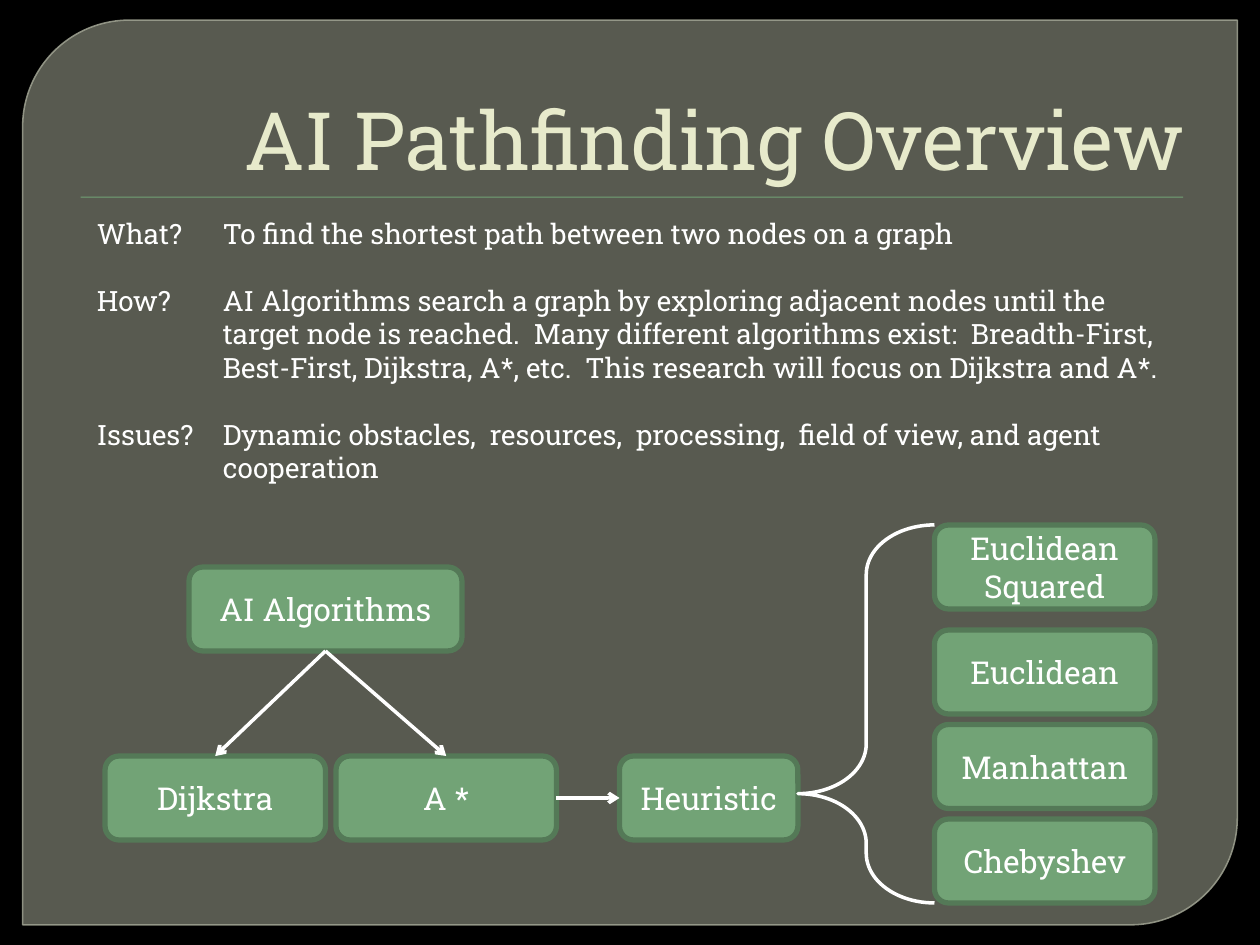
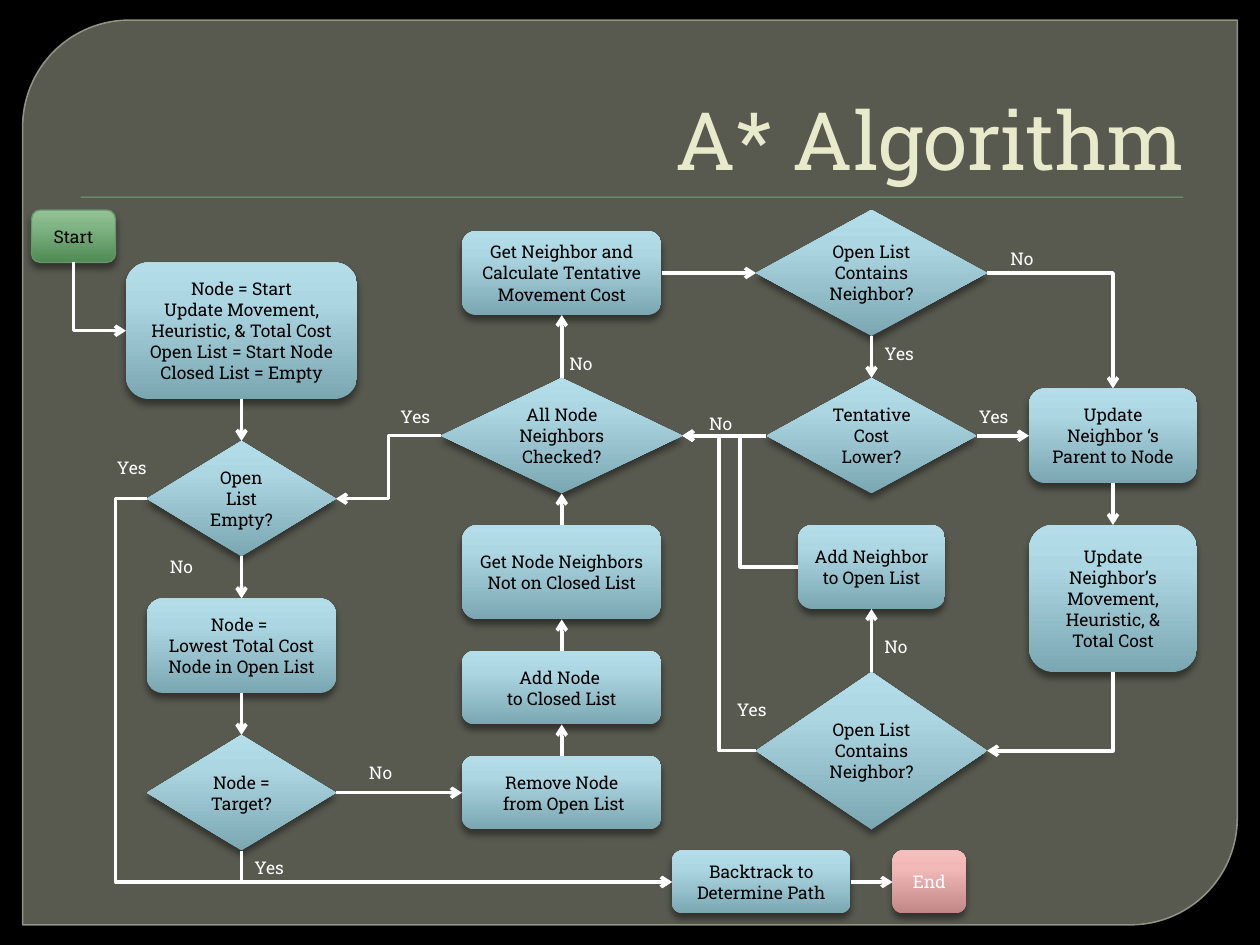
"""Build two slides on AI pathfinding: an overview and the A* flowchart."""
import copy

import lxml.etree
import pptx
import pptx.dml.color
import pptx.enum.shapes
import pptx.enum.text
import pptx.oxml
import pptx.oxml.ns
import pptx.util

Inches = pptx.util.Inches
Pt = pptx.util.Pt
qn = pptx.oxml.ns.qn
color = pptx.dml.color.RGBColor.from_string
SHAPE = pptx.enum.shapes.MSO_SHAPE
CONNECTOR = pptx.enum.shapes.MSO_CONNECTOR
ALIGN = pptx.enum.text.PP_ALIGN
ANCHOR = pptx.enum.text.MSO_ANCHOR

FONT = "Roboto Slab"
WHITE, BLACK, CREAM = "FFFFFF", "000000", "E7EACB"
GREEN, DARK_GREEN = "72A376", "547957"
BLUES = ("7BA7B3", "ACD7E2", "B4DDE9")
GREENS = ("508A55", "83B687", "94C298")
PINKS = ("C18787", "F2B8B8", "F7BEBE")
GRID = 12
TOP, LEFT, BOTTOM, RIGHT = range(4)
SHADOW = (
    '<a:outerShdw xmlns:a="http://schemas.openxmlformats.org/drawingml/2006/main" '
    'blurRad="{}" dist="{}" dir="5400000" rotWithShape="0">'
    '<a:srgbClr val="000000"><a:alpha val="{}"/></a:srgbClr></a:outerShdw>'
)


def write(shape, text, size=10, ink=WHITE, align=ALIGN.CENTER, anchor=ANCHOR.MIDDLE,
          wrap=True, hanging=0, gap=0):
    frame = shape.text_frame
    frame.word_wrap = wrap
    frame.vertical_anchor = anchor
    frame.text = text
    for paragraph in frame.paragraphs:
        paragraph.alignment = align
        paragraph.space_after = Pt(gap)
        if hanging:
            properties = paragraph._p.get_or_add_pPr()
            properties.set("marL", str(Inches(hanging)))
            properties.set("indent", str(-Inches(hanging)))
        paragraph.font.size = Pt(size)
        for run in paragraph.runs:
            run.font.name = FONT
            run.font.size = Pt(size)
            run.font.color.rgb = color(ink)


def link(slide, start, start_side, end, end_side, turn=None, bend=0.5):
    kind = CONNECTOR.ELBOW if turn else CONNECTOR.STRAIGHT
    arrow = slide.shapes.add_connector(kind, 0, 0, 0, 0)
    arrow.begin_connect(start, start_side)
    arrow.end_connect(end, end_side)
    arrow.line.color.rgb = color(WHITE)
    arrow.line.width = Pt(2)
    properties = arrow._element.spPr
    lxml.etree.SubElement(arrow.line._get_or_add_ln(), qn("a:tailEnd"), type="arrow")
    lxml.etree.SubElement(properties, qn("a:effectLst"))
    geometry = properties.find(qn("a:prstGeom"))
    if turn == "middle":
        guides = geometry.get_or_add_avLst()
        lxml.etree.SubElement(guides, qn("a:gd"), name="adj1", fmla=f"val {round(bend * 100000)}")
    elif turn:
        geometry.set("prst", "bentConnector2")
    if turn == "down first":
        to_right = arrow.end_x > arrow.begin_x
        middle_x = arrow.left + arrow.width // 2
        middle_y = arrow.top + arrow.height // 2
        arrow.width, arrow.height = arrow.height, arrow.width
        arrow.left = middle_x - arrow.width // 2
        arrow.top = middle_y - arrow.height // 2
        frame = properties.find(qn("a:xfrm"))
        frame.set("rot", str((270 if to_right else 90) * 60000))
        frame.set("flipH", "1" if to_right else "0")


deck = pptx.Presentation()
deck.slide_width, deck.slide_height = Inches(10), Inches(7.5)

slides = []
for heading in ("AI Pathfinding Overview", "A* Algorithm"):
    slide = deck.slides.add_slide(deck.slide_layouts[6])
    slide.background.fill.solid()
    slide.background.fill.fore_color.rgb = color(BLACK)

    panel = slide.shapes.add_shape(SHAPE.ROUND_2_DIAG_RECTANGLE, Inches(0.18), Inches(0.16),
                                   Inches(9.64), Inches(7.18))
    panel.adjustments[0], panel.adjustments[1] = 0.118, 0
    panel.shadow.inherit = False
    panel.line.width = Pt(0.87)
    for paint, tone, opacity in ((panel.fill, "888B7B", 65), (panel.line.fill, "9DA090", 88)):
        paint.solid()
        paint.fore_color.rgb = color(tone)
        tint = paint._xPr.find(qn("a:solidFill"))[0]
        lxml.etree.SubElement(tint, qn("a:alpha"), val=str(opacity * 1000))

    rule = slide.shapes.add_shape(SHAPE.RECTANGLE, Inches(0.64), Inches(1.56),
                                  Inches(8.75), Inches(0.01))
    rule.fill.solid()
    rule.fill.fore_color.rgb = color(GREEN)
    rule.line.fill.background()
    rule.shadow.inherit = False
    rule._element.spPr.find(qn("a:effectLst")).append(
        pptx.oxml.parse_xml(SHADOW.format(Pt(1), Pt(1), 75000)))

    title = slide.shapes.add_textbox(Inches(0.5), Inches(0.28), Inches(9), Inches(1.25))
    write(title, heading, size=46, ink=CREAM, align=ALIGN.RIGHT, anchor=ANCHOR.BOTTOM)
    slides.append(slide)

overview, flowchart = slides

questions = overview.shapes.add_textbox(Inches(0.67), Inches(1.67), Inches(8.75), Inches(2.56))
write(
    questions,
    "What?\tTo find the shortest path between two nodes on a graph\n"
    "How?\tAI Algorithms search a graph by exploring adjacent nodes until the target node is "
    "reached.  Many different algorithms exist:  Breadth-First, Best-First, Dijkstra, A*, etc.  "
    "This research will focus on Dijkstra and A*.\n"
    "Issues?\tDynamic obstacles,  resources,  processing,  field of view, and agent cooperation",
    size=16, align=ALIGN.LEFT, anchor=ANCHOR.TOP, hanging=1, gap=19,
)

topics = {}
for text, left, top, width in (
    ("AI Algorithms", 18, 54, 26),
    ("A *", 32, 72, 21),
    ("Dijkstra", 10, 72, 21),
    ("Heuristic", 59, 72, 17),
    ("Euclidean\nSquared", 89, 50, 21),
    ("Euclidean", 89, 60, 21),
    ("Manhattan", 89, 69, 21),
    ("Chebyshev", 89, 78, 21),
):
    topic = overview.shapes.add_shape(
        SHAPE.ROUNDED_RECTANGLE, *(Inches(n / GRID) for n in (left, top, width, 8)))
    topic.fill.solid()
    topic.fill.fore_color.rgb = color(GREEN)
    topic.line.color.rgb = color(DARK_GREEN)
    topic.line.width = Pt(3)
    topic.shadow.inherit = False
    write(topic, text, size=18)
    topics[text] = topic

heuristic_choices = overview.shapes.add_shape(
    SHAPE.LEFT_BRACE, *(Inches(n / GRID) for n in (76, 50, 13, 36)))
heuristic_choices.adjustments[0], heuristic_choices.adjustments[1] = 0.364, 0.711
heuristic_choices.fill.background()
heuristic_choices.line.color.rgb = color(WHITE)
heuristic_choices.line.width = Pt(2)
heuristic_choices.shadow.inherit = False

link(overview, topics["AI Algorithms"], BOTTOM, topics["A *"], TOP)
link(overview, topics["AI Algorithms"], BOTTOM, topics["Dijkstra"], TOP)
link(overview, topics["A *"], RIGHT, topics["Heuristic"], LEFT)

STEP, TEST = SHAPE.ROUNDED_RECTANGLE, SHAPE.FLOWCHART_DECISION
steps = {}
for key, kind, box, text in (
    ("start", STEP, (3, 20, 8, 5), "Start"),
    ("setup", STEP, (12, 25, 22, 13),
     "Node = Start\nUpdate Movement, Heuristic, & Total Cost\n"
     "Open List = Start Node Closed List = Empty"),
    ("open empty", TEST, (14, 42, 18, 11), "Open List Empty?"),
    ("lowest", STEP, (14, 57, 18, 9), "Node = \nLowest Total Cost Node in Open List"),
    ("target", TEST, (14, 70, 18, 11), "Node = Target?"),
    ("remove", STEP, (44, 72, 19, 7), "Remove Node\n from Open List"),
    ("close", STEP, (44, 62, 19, 7), "Add Node \nto Closed List"),
    ("neighbors", STEP, (44, 50, 19, 9), "Get Node Neighbors\nNot on Closed List"),
    ("all checked", TEST, (42, 36, 23, 11), "All Node Neighbors Checked?"),
    ("tentative", STEP, (44, 22, 19, 8), "Get Neighbor and Calculate Tentative Movement Cost"),
    ("contains", TEST, (72, 20, 22, 12), "Open List\nContains\nNeighbor?"),
    ("lower", TEST, (73, 36, 20, 11), "Tentative Cost Lower?"),
    ("parent", STEP, (98, 37, 16, 9), "Update Neighbor ‘s Parent to Node"),
    ("costs", STEP, (98, 50, 16, 14), "Update Neighbor’s Movement, Heuristic, & Total Cost"),
    ("still contains", TEST, (72, 64, 22, 15), "Open List\nContains\nNeighbor?"),
    ("add open", STEP, (76, 50, 14, 8), "Add Neighbor \nto Open List"),
    ("backtrack", STEP, (64, 81, 17, 6), "Backtrack to Determine Path"),
    ("end", STEP, (85, 81, 7, 6), "End"),
):
    step = flowchart.shapes.add_shape(kind, *(Inches(n / GRID) for n in box))
    step.fill.gradient()
    step.fill.gradient_angle = 90
    stop_list = step._element.spPr.find(qn("a:gradFill")).find(qn("a:gsLst"))
    stop_list.append(copy.deepcopy(stop_list[-1]))
    tones = {"start": GREENS, "end": PINKS}.get(key, BLUES)
    for stop, position, tone in zip(step.fill.gradient_stops, (0, 0.72, 1), tones):
        stop.position = position
        stop.color.rgb = color(tone)
    step.line.fill.background()
    step.shadow.inherit = False
    step._element.spPr.find(qn("a:effectLst")).append(
        pptx.oxml.parse_xml(SHADOW.format(Pt(4), Pt(3), 43000)))
    write(step, text, ink=WHITE if key == "end" else BLACK)
    steps[key] = step

steps["start"].line.color.rgb = color("67946B")
steps["start"].line.width = Pt(0.75)

for start, start_side, end, end_side, *route in (
    ("start", BOTTOM, "setup", LEFT, "down first"),
    ("setup", BOTTOM, "open empty", TOP),
    ("open empty", BOTTOM, "lowest", TOP),
    ("open empty", LEFT, "backtrack", LEFT, "middle", -0.06),
    ("lowest", BOTTOM, "target", TOP),
    ("target", BOTTOM, "backtrack", LEFT, "down first"),
    ("target", RIGHT, "remove", LEFT),
    ("remove", TOP, "close", BOTTOM),
    ("close", TOP, "neighbors", BOTTOM),
    ("neighbors", TOP, "all checked", BOTTOM),
    ("all checked", TOP, "tentative", BOTTOM),
    ("all checked", LEFT, "open empty", RIGHT, "middle"),
    ("tentative", RIGHT, "contains", LEFT),
    ("contains", RIGHT, "parent", TOP, "across first"),
    ("contains", BOTTOM, "lower", TOP),
    ("lower", RIGHT, "parent", LEFT),
    ("lower", LEFT, "all checked", RIGHT),
    ("parent", BOTTOM, "costs", TOP),
    ("costs", BOTTOM, "still contains", RIGHT, "down first"),
    ("still contains", LEFT, "all checked", RIGHT, "middle"),
    ("still contains", TOP, "add open", BOTTOM),
    ("add open", LEFT, "all checked", RIGHT, "middle"),
    ("backtrack", RIGHT, "end", LEFT),
):
    link(flowchart, steps[start], start_side, steps[end], end_side, *route)

for answer, width, places in (
    ("Yes", 0.44, ((0.83, 3.58), (1.92, 6.75), (5.75, 5.5), (7.67, 3.17), (6.92, 2.67),
                   (3.08, 3.17))),
    ("No", 0.38, ((1.25, 4.36), (2.83, 6), (7.92, 1.92), (6.92, 5), (4.42, 2.75),
                  (5.53, 3.23))),
):
    for left, top in places:
        label = flowchart.shapes.add_textbox(Inches(left), Inches(top), Inches(width), Inches(0.27))
        write(label, answer, align=ALIGN.LEFT, anchor=ANCHOR.TOP, wrap=False)

deck.save("out.pptx")
